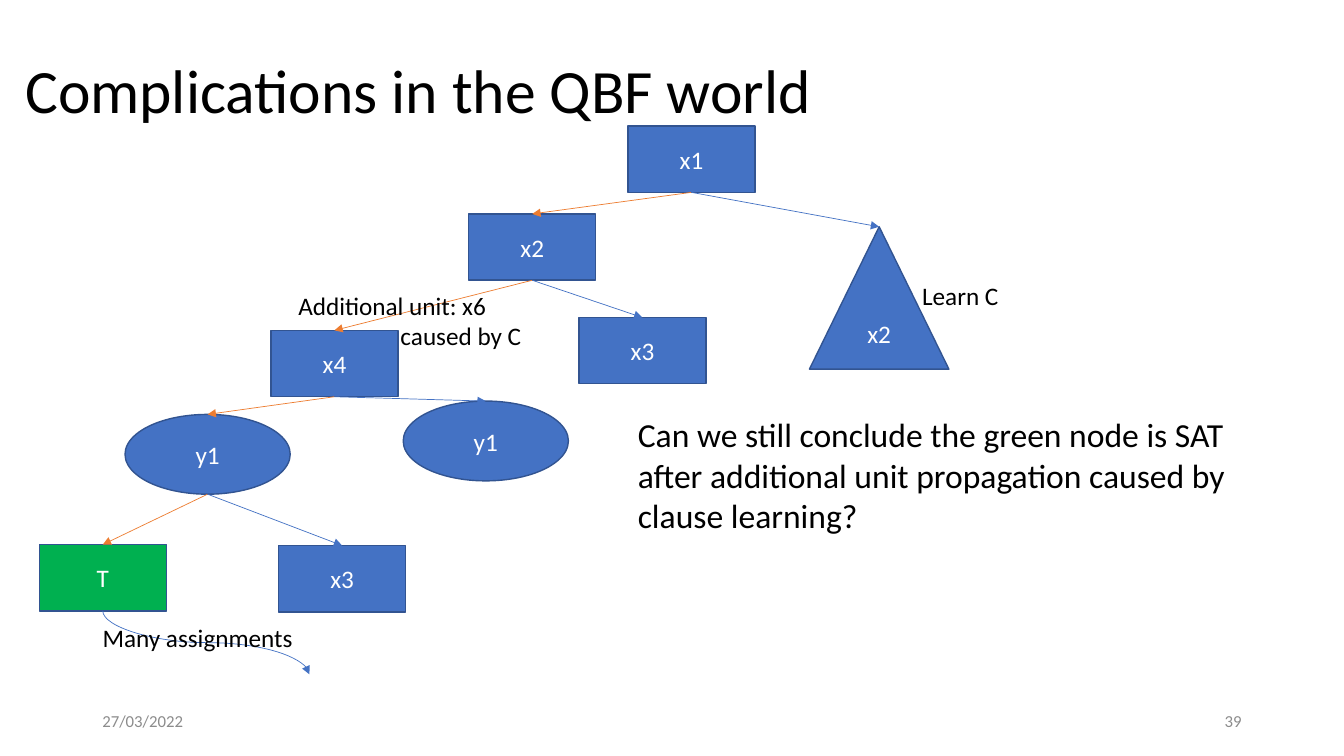
from dataclasses import dataclass

from lxml import etree
from pptx import Presentation
from pptx import util as u
from pptx.dml.color import RGBColor
from pptx.enum import shapes, text
from pptx.oxml import ns

Pt = u.Pt
KIND = shapes.MSO_SHAPE
LINK = shapes.MSO_CONNECTOR
ALIGN = text.PP_ALIGN
ANCHOR = text.MSO_ANCHOR


@dataclass(frozen=True)
class Theme:
    font: str = "Calibri"
    ink: str = "000000"
    light: str = "FFFFFF"
    muted: str = "8C8C8C"
    node: str = "4472C4"
    node_edge: str = "325491"
    solved: str = "00B050"
    left_branch: str = "ED7D31"
    right_branch: str = "4472C4"
    title: int = 44
    question: int = 24
    label: int = 18
    footer: int = 12


THEME = Theme()
NODE_SIZES = {
    KIND.RECTANGLE: (90.8, 47.4),
    KIND.OVAL: (118, 57),
    KIND.ISOSCELES_TRIANGLE: (99.6, 101.7),
}


def rgb(value):
    return RGBColor.from_string(value)


def write(frame, lines, size, color, align=ALIGN.LEFT, anchor=ANCHOR.TOP):
    frame.vertical_anchor = anchor
    for index, line in enumerate(lines):
        paragraph = frame.paragraphs[0] if index == 0 else frame.add_paragraph()
        paragraph.alignment = align
        run = paragraph.add_run()
        run.text = line
        run.font.name = THEME.font
        run.font.size = Pt(size)
        run.font.color.rgb = rgb(color)


def add_title(slide, wording):
    title = slide.shapes.title
    title.left, title.top, title.width, title.height = map(Pt, (10.8, 14.4, 828, 104.4))
    write(title.text_frame, [wording], THEME.title, THEME.ink, anchor=ANCHOR.MIDDLE)
    title.text_frame.paragraphs[0].line_spacing = 0.9


def add_label(slide, box, lines, size=THEME.label, color=THEME.ink, wrap=True, **layout):
    label = slide.shapes.add_textbox(*map(Pt, box))
    label.text_frame.word_wrap = wrap
    write(label.text_frame, lines, size, color, **layout)
    return label


def add_node(slide, name, left, top, kind=KIND.RECTANGLE, fill=THEME.node):
    width, height = NODE_SIZES[kind]
    node = slide.shapes.add_shape(kind, Pt(left), Pt(top), Pt(width), Pt(height))
    node.shadow.inherit = False
    node.fill.solid()
    node.fill.fore_color.rgb = rgb(fill)
    node.line.color.rgb = rgb(THEME.node_edge)
    node.line.width = Pt(1)
    write(node.text_frame, [name], THEME.label, THEME.light, ALIGN.CENTER, ANCHOR.MIDDLE)
    return node


def bottom_center(node):
    return node.left + node.width // 2, node.top + node.height


def top_center(node):
    return node.left + node.width // 2, node.top


def add_arrow(slide, start, end, color, kind=LINK.STRAIGHT):
    arrow = slide.shapes.add_connector(kind, *start, *end)
    arrow.line.color.rgb = rgb(color)
    arrow.line.width = Pt(0.5)
    etree.SubElement(arrow.line._get_or_add_ln(), ns.qn("a:tailEnd"), type="triangle")
    etree.SubElement(arrow._element.spPr, ns.qn("a:effectLst"))
    return arrow


def add_branch(slide, parent, child, color):
    branch = add_arrow(slide, bottom_center(parent), top_center(child), color)
    if parent.auto_shape_type == KIND.RECTANGLE:
        branch.begin_connect(parent, 2)
    branch.end_connect(child, 0)


def add_downward_curve(slide, start, end, color):
    curve = add_arrow(slide, start, end, color, LINK.CURVE)
    across, down = end[0] - start[0], end[1] - start[1]
    curve.left = start[0] + (across - down) // 2
    curve.top = start[1] + (down - across) // 2
    curve.width, curve.height = down, across
    frame = curve._element.spPr.find(ns.qn("a:xfrm"))
    frame.set("rot", "16200000")
    frame.set("flipH", "1")


def add_search_tree(slide):
    x1 = add_node(slide, "x1", 448.5, 90)
    y1_right = add_node(slide, "y1", 288, 286.5, KIND.OVAL)
    x2 = add_node(slide, "x2", 334.8, 152.8)
    x2_subtree = add_node(slide, "x2", 578.2, 162, KIND.ISOSCELES_TRIANGLE)
    x4 = add_node(slide, "x4", 193.5, 236)
    x3 = add_node(slide, "x3", 413.5, 226.8)
    y1_left = add_node(slide, "y1", 89.3, 296, KIND.OVAL)
    satisfied = add_node(slide, "T", 28, 389, fill=THEME.solved)
    x3_lower = add_node(slide, "x3", 199, 389.7)

    for parent, left_child, right_child in (
        (x1, x2, x2_subtree),
        (x2, x4, x3),
        (x4, y1_left, y1_right),
        (y1_left, satisfied, x3_lower),
    ):
        add_branch(slide, parent, left_child, THEME.left_branch)
        add_branch(slide, parent, right_child, THEME.right_branch)
    return satisfied


def main():
    deck = Presentation()
    deck.slide_width, deck.slide_height = Pt(960), Pt(540)
    slide = deck.slides.add_slide(deck.slide_layouts[5])

    add_title(slide, "Complications in the QBF world")
    satisfied = add_search_tree(slide)

    unit = add_label(slide, (206, 203.8, 182, 51), ["Additional unit: x6", "caused by C"])
    caused_by = unit.text_frame.paragraphs[1]
    caused_by._p.get_or_add_pPr().set("marL", str(Pt(73)))

    add_downward_curve(slide, bottom_center(satisfied), (Pt(221), Pt(481.7)), THEME.right_branch)
    question = [
        "Can we still conclude the green node is SAT",
        "after additional unit propagation caused by",
        "clause learning?",
    ]
    add_label(slide, (448.5, 292.3, 494, 124), question, THEME.question)
    add_label(slide, (66, 500.5, 216, 28.8), ["27/03/2022"], THEME.footer, THEME.muted,
              anchor=ANCHOR.MIDDLE)
    add_label(slide, (678, 500.5, 216, 28.8), ["39"], THEME.footer, THEME.muted,
              align=ALIGN.RIGHT, anchor=ANCHOR.MIDDLE)
    add_label(slide, (66.2, 440.8, 152, 29), ["Many assignments"], wrap=False)
    add_label(slide, (651.6, 196.6, 70, 29), ["Learn C"], wrap=False)

    deck.save("out.pptx")


main()
